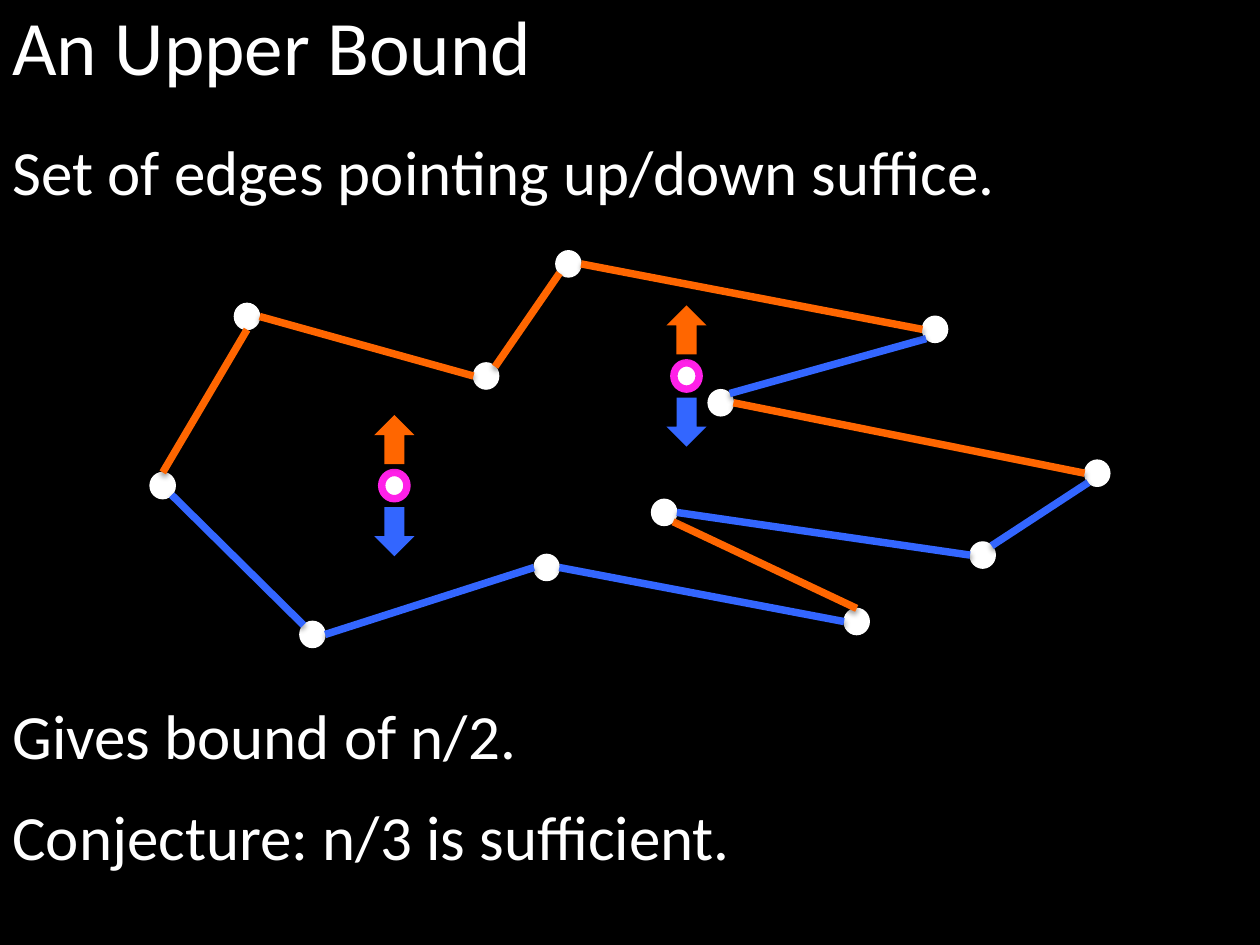
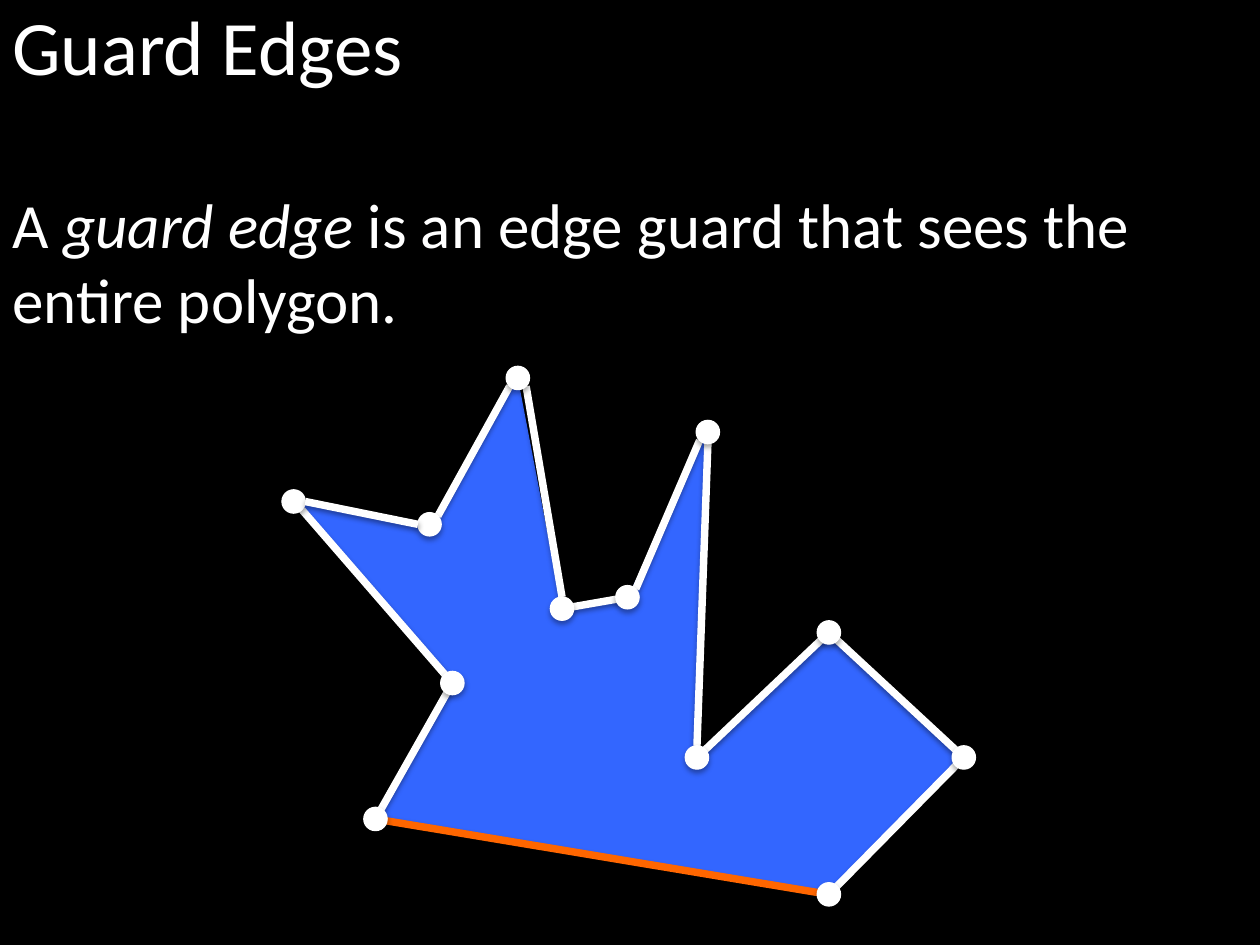
import math
from typing import NamedTuple, Optional

from lxml import etree
from pptx import Presentation
from pptx.dml.color import RGBColor
from pptx.enum.shapes import MSO_CONNECTOR, MSO_SHAPE
from pptx.enum.text import MSO_AUTO_SIZE
from pptx.oxml.ns import qn
from pptx.util import Cm, Pt

STRAIGHT = MSO_CONNECTOR.STRAIGHT
OVAL = MSO_SHAPE.OVAL
RIGHT_ARROW = MSO_SHAPE.RIGHT_ARROW
FIT_TEXT = MSO_AUTO_SIZE.SHAPE_TO_FIT_TEXT

BLACK, WHITE = "000000", "FFFFFF"
ORANGE, BLUE, PINK = "FF6600", "3366FF", "FF20E8"
FONT = "Calibri"
TITLE_SIZE, BODY_SIZE = 44, 36
EDGE_WIDTH, DOT_LINE_WIDTH = 4.25, 0.75
PAGE_WIDTH, PAGE_HEIGHT = 25.4, 19.05
HANGING = 2.06
ARROW_WIDTH, ARROW_HEIGHT, ARROW_OFFSET = 0.99, 0.81, 0.93
TOP, TOP_LEFT, LEFT, BOTTOM_LEFT, BOTTOM, BOTTOM_RIGHT, RIGHT, TOP_RIGHT = range(8)
CENTER = None


class Point(NamedTuple):
    x: float
    y: float


class DotSize(NamedTuple):
    width: float
    height: float


class Shade(NamedTuple):
    opacity: int
    blur: float
    distance: float


class Span(NamedTuple):
    text: str
    italic: bool = False


class Edge(NamedTuple):
    start: str
    start_site: Optional[int]
    end: str
    end_site: Optional[int]
    color: str = WHITE


EDGE_SHADE = Shade(38, 3.1, 1.6)
SHAPE_SHADE = Shade(35, 3.1, 1.8)

BOUND_DOT = DotSize(0.51, 0.53)
BOUND_VERTICES = {
    "west": Point(3.28, 9.79),
    "northwest": Point(4.98, 6.38),
    "notch": Point(9.8, 7.58),
    "peak": Point(11.46, 5.32),
    "northeast": Point(18.85, 6.64),
    "upper inlet": Point(14.53, 8.12),
    "east": Point(22.12, 9.54),
    "southeast": Point(19.81, 11.19),
    "lower inlet": Point(13.39, 10.33),
    "south": Point(17.27, 12.53),
    "rise": Point(11.02, 11.44),
    "southwest": Point(6.3, 12.79),
}
BOUND_EDGES = [
    Edge("northwest", BOTTOM, "west", TOP, ORANGE),
    Edge("northwest", RIGHT, "notch", LEFT, ORANGE),
    Edge("west", BOTTOM_RIGHT, "southwest", TOP_LEFT, BLUE),
    Edge("notch", TOP_RIGHT, "peak", BOTTOM_LEFT, ORANGE),
    Edge("upper inlet", TOP_RIGHT, "northeast", BOTTOM_LEFT, BLUE),
    Edge("east", BOTTOM_LEFT, "southeast", TOP_RIGHT, BLUE),
    Edge("northeast", LEFT, "peak", RIGHT, ORANGE),
    Edge("upper inlet", RIGHT, "east", LEFT, ORANGE),
    Edge("rise", LEFT, "southwest", RIGHT, BLUE),
    Edge("rise", RIGHT, "south", LEFT, BLUE),
    Edge("south", TOP, "lower inlet", BOTTOM_RIGHT, ORANGE),
    Edge("lower inlet", RIGHT, "southeast", LEFT, BLUE),
]
VIEWERS = [Point(7.95, 9.79), Point(13.84, 7.58)]

GUARD_DOT = DotSize(0.47, 0.47)
GUARD_VERTICES = {
    "southwest": Point(7.57, 16.51),
    "waist": Point(9.12, 13.77),
    "west": Point(5.92, 10.11),
    "notch": Point(8.66, 10.57),
    "left peak": Point(10.44, 7.62),
    "valley left": Point(11.33, 12.27),
    "valley right": Point(12.65, 12.04),
    "right peak": Point(14.27, 8.71),
    "inlet": Point(14.05, 15.27),
    "shoulder": Point(16.71, 12.75),
    "east": Point(19.43, 15.27),
    "south": Point(16.71, 18.03),
}
GUARD_EDGES = [
    Edge("valley left", TOP, "left peak", BOTTOM_RIGHT),
    Edge("notch", TOP_RIGHT, "left peak", BOTTOM_LEFT),
    Edge("inlet", TOP, "right peak", BOTTOM),
    Edge("valley right", TOP_RIGHT, "right peak", BOTTOM_LEFT),
    Edge("waist", CENTER, "west", BOTTOM_RIGHT),
    Edge("valley left", CENTER, "valley right", CENTER),
    Edge("inlet", CENTER, "shoulder", CENTER),
    Edge("waist", CENTER, "southwest", CENTER),
    Edge("southwest", CENTER, "south", CENTER, ORANGE),
    Edge("south", CENTER, "east", CENTER),
    Edge("shoulder", CENTER, "east", CENTER),
]
NOTCH_EDGE = Edge("notch", LEFT, "west", RIGHT)


def rgb(color: str) -> RGBColor:
    return RGBColor.from_string(color)


def cast_shadow(item, shade: Shade) -> None:
    effects = etree.SubElement(item.element.spPr, qn("a:effectLst"))
    shadow = etree.SubElement(effects, qn("a:outerShdw"))
    values = {"blurRad": Pt(shade.blur), "dist": Pt(shade.distance),
              "dir": 90 * 60000, "rotWithShape": 0}
    for name, value in values.items():
        shadow.set(name, str(int(value)))
    tint = etree.SubElement(shadow, qn("a:srgbClr"), val=BLACK)
    etree.SubElement(tint, qn("a:alpha"), val=str(shade.opacity * 1000))


def paint(shape, fill: str, line: Optional[str] = None, width: float = 0) -> None:
    shape.fill.solid()
    shape.fill.fore_color.rgb = rgb(fill)
    if line is None:
        shape.line.fill.background()
    else:
        shape.line.color.rgb = rgb(line)
        shape.line.width = Pt(width)
    cast_shadow(shape, SHAPE_SHADE)


def add_centered(page, kind, center: Point, width: float, height: float):
    return page.shapes.add_shape(kind, Cm(center.x - width / 2), Cm(center.y - height / 2),
                                 Cm(width), Cm(height))


def add_dot(page, center: Point, size: DotSize, line: str = WHITE,
            width: float = DOT_LINE_WIDTH) -> None:
    paint(add_centered(page, OVAL, center, *size), WHITE, line, width)


def site_point(center: Point, size: DotSize, site: Optional[int]) -> Point:
    if site is CENTER:
        return center
    angle = math.radians(90 + 45 * site)
    return Point(center.x + size.width / 2 * math.cos(angle),
                 center.y - size.height / 2 * math.sin(angle))


def add_edge(page, edge: Edge, vertices: dict[str, Point], size: DotSize) -> None:
    start = site_point(vertices[edge.start], size, edge.start_site)
    end = site_point(vertices[edge.end], size, edge.end_site)
    line = page.shapes.add_connector(STRAIGHT, Cm(start.x), Cm(start.y), Cm(end.x), Cm(end.y))
    line.line.color.rgb = rgb(edge.color)
    line.line.width = Pt(EDGE_WIDTH)
    cast_shadow(line, EDGE_SHADE)


def add_viewer(page, center: Point) -> None:
    add_dot(page, center, BOUND_DOT, PINK, EDGE_WIDTH)
    for rotation, offset, color in ((90, ARROW_OFFSET, BLUE), (270, -ARROW_OFFSET, ORANGE)):
        spot = Point(center.x, center.y + offset)
        arrow = add_centered(page, RIGHT_ARROW, spot, ARROW_WIDTH, ARROW_HEIGHT)
        arrow.rotation = rotation
        paint(arrow, color)


def add_polygon(page, vertices: dict[str, Point], color: str) -> None:
    corners = [(Cm(point.x), Cm(point.y)) for point in vertices.values()]
    builder = page.shapes.build_freeform(*corners[0])
    builder.add_line_segments(corners[1:], close=True)
    paint(builder.convert_to_shape(), color)


def add_text(page, top: float, height: float, lines: list[list[Span]],
             size: int = BODY_SIZE, width: float = PAGE_WIDTH, hanging: float = 0) -> None:
    box = page.shapes.add_textbox(Cm(0), Cm(top), Cm(width), Cm(height))
    frame = box.text_frame
    frame.word_wrap = True
    frame.auto_size = FIT_TEXT
    for index, spans in enumerate(lines):
        para = frame.add_paragraph() if index else frame.paragraphs[0]
        if hanging:
            properties = para._p.get_or_add_pPr()
            properties.set("marL", str(Cm(hanging)))
            properties.set("indent", str(-Cm(hanging)))
        for span in spans:
            run = para.add_run()
            run.text = span.text
            formats = {"name": FONT, "size": Pt(size), "italic": span.italic}
            for name, value in formats.items():
                setattr(run.font, name, value)
            run.font.color.rgb = rgb(WHITE)


def add_page(deck, title: str):
    page = deck.slides.add_slide(deck.slide_layouts[6])
    page.background.fill.solid()
    page.background.fill.fore_color.rgb = rgb(BLACK)
    add_text(page, -0.15, 2.13, [[Span(title)]], TITLE_SIZE, 23.65)
    return page


def build_upper_bound(deck) -> None:
    page = add_page(deck, "An Upper Bound")
    add_text(page, 2.54, 1.8, [[Span("Set of edges pointing up/down suffice.")]])
    for vertex in BOUND_VERTICES.values():
        add_dot(page, vertex, BOUND_DOT)
    for edge in BOUND_EDGES:
        add_edge(page, edge, BOUND_VERTICES, BOUND_DOT)
    for viewer in VIEWERS:
        add_viewer(page, viewer)
    add_text(page, 13.92, 1.8, [[Span("Gives bound of n/2.")]])
    add_text(page, 15.95, 1.8, [[Span("Conjecture: n/3 is sufficient.")]])


def build_guard_edges(deck) -> None:
    page = add_page(deck, "Guard Edges")
    add_polygon(page, GUARD_VERTICES, BLUE)
    add_text(page, 3.61, 3.33, [
        [Span("A "), Span("guard edge ", True), Span("is an edge guard that sees the")],
        [Span("entire polygon.")],
    ], hanging=HANGING)
    for edge in GUARD_EDGES:
        add_edge(page, edge, GUARD_VERTICES, GUARD_DOT)
    for vertex in GUARD_VERTICES.values():
        add_dot(page, vertex, GUARD_DOT)
    add_edge(page, NOTCH_EDGE, GUARD_VERTICES, GUARD_DOT)


def main() -> None:
    deck = Presentation()
    deck.slide_width = Cm(PAGE_WIDTH)
    deck.slide_height = Cm(PAGE_HEIGHT)
    build_upper_bound(deck)
    build_guard_edges(deck)
    deck.save("out.pptx")


if __name__ == "__main__":
    main()
